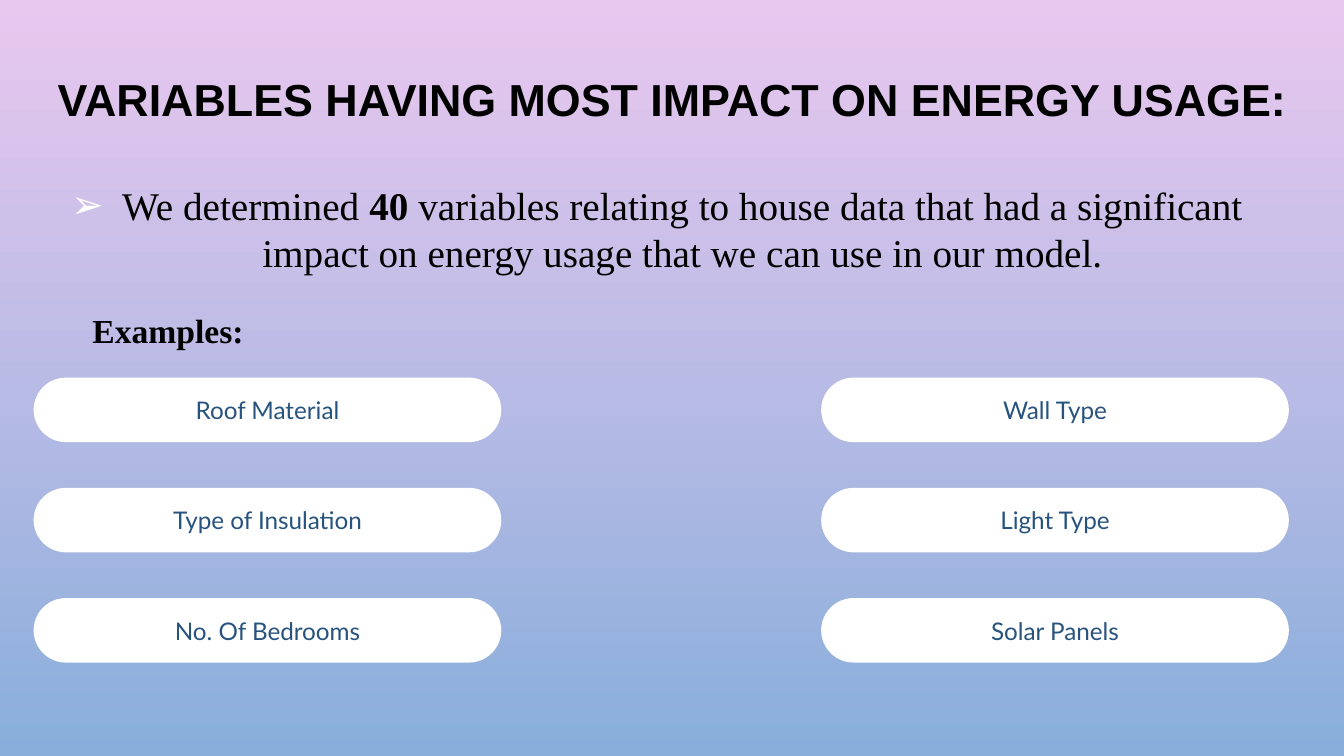
import pptx
import pptx.dml.color
import pptx.enum.shapes
import pptx.enum.text
import pptx.oxml.ns
import pptx.util
from lxml import etree

Inches = pptx.util.Inches
Pt = pptx.util.Pt
RGBColor = pptx.dml.color.RGBColor
ALIGN = pptx.enum.text.PP_ALIGN
ANCHOR = pptx.enum.text.MSO_ANCHOR

PINK = RGBColor(0xE9, 0xC8, 0xEF)
SKY = RGBColor(0x89, 0xAE, 0xDB)
BLACK = RGBColor(0, 0, 0)
WHITE = RGBColor(0xFF, 0xFF, 0xFF)
NAVY = RGBColor(0x27, 0x53, 0x7E)

# Example variables, one list per column
EXAMPLES = [
    ["Roof Material", "Type of Insulation", "No. Of Bedrooms"],
    ["Wall Type", "Light Type", "Solar Panels"],
]
PILL_LEFT, PILL_TOP = 0.25, 2.81
PILL_WIDTH, PILL_HEIGHT = 3.48, 0.48
COLUMN_STEP, ROW_STEP = 5.86, 0.82


def set_background(slide):
    fill = slide.background.fill
    fill.gradient()
    fill.gradient_angle = 270
    for stop, color in zip(fill.gradient_stops, (PINK, SKY)):
        stop.color.rgb = color


def set_font(paragraph, name, size, color, bold=None):
    font = paragraph.font
    font.name = name
    font.size = Pt(size)
    font.color.rgb = color
    font.bold = bold


def add_text(slide, left, top, width, height, runs, inset=0.1):
    """Add a wrapped text box from (text, bold) runs; return its frame."""
    box = slide.shapes.add_textbox(Inches(left), Inches(top), Inches(width), Inches(height))
    frame = box.text_frame
    frame.word_wrap = True
    frame.margin_top = frame.margin_bottom = Inches(inset)
    for text, bold in runs:
        run = frame.paragraphs[0].add_run()
        run.text = text
        if bold:
            run.font.bold = True
    return frame


def add_bullet(paragraph, character, color, indent):
    properties = paragraph._p.get_or_add_pPr()
    properties.set("marL", str(Inches(indent)))
    properties.set("indent", str(-Inches(indent)))
    qn = pptx.oxml.ns.qn
    bullet_color = etree.SubElement(properties, qn("a:buClr"))
    etree.SubElement(bullet_color, qn("a:srgbClr"), val=str(color))
    etree.SubElement(properties, qn("a:buFont"), typeface="Arial")
    etree.SubElement(properties, qn("a:buChar"), char=character)


def add_pill(slide, left, top, label):
    pill = slide.shapes.add_shape(
        pptx.enum.shapes.MSO_SHAPE.ROUNDED_RECTANGLE,
        Inches(left), Inches(top), Inches(PILL_WIDTH), Inches(PILL_HEIGHT))
    pill.adjustments[0] = 0.5
    pill.shadow.inherit = False
    pill.fill.solid()
    pill.fill.fore_color.rgb = WHITE
    pill.line.fill.background()
    frame = pill.text_frame
    frame.margin_top = frame.margin_bottom = Inches(0.1)
    frame.vertical_anchor = ANCHOR.MIDDLE
    paragraph = frame.paragraphs[0]
    paragraph.text = label
    paragraph.alignment = ALIGN.CENTER
    set_font(paragraph, "Lato", 13, NAVY)


def main():
    # Widescreen slide, 16:9
    presentation = pptx.Presentation()
    presentation.slide_width = Inches(10)
    presentation.slide_height = Inches(10 * 9 / 16)
    slide = presentation.slides.add_slide(presentation.slide_layouts[6])
    set_background(slide)

    # Title
    frame = add_text(slide, 0.15, 0.11, 9.7, 0.93,
                     [("VARIABLES HAVING MOST IMPACT ON ENERGY USAGE:", False)])
    frame.vertical_anchor = ANCHOR.BOTTOM
    title = frame.paragraphs[0]
    title.alignment = ALIGN.CENTER
    title.line_spacing = 0.9
    set_font(title, "Arial", 24, BLACK, bold=True)

    # Key finding
    frame = add_text(slide, 0.04, 1.25, 9.7, 0.96, [
        ("We determined ", False),
        ("40", True),
        (" variables relating to house data that had a significant "
         "impact on energy usage that we can use in our model.", False),
    ])
    finding = frame.paragraphs[0]
    finding.alignment = ALIGN.CENTER
    add_bullet(finding, "➢", WHITE, 0.38)
    set_font(finding, "Times New Roman", 21, BLACK)

    # Examples heading
    frame = add_text(slide, 0.59, 2.26, 2.3, 0.4, [("Examples:", False)], inset=0.05)
    set_font(frame.paragraphs[0], "Times New Roman", 18, BLACK, bold=True)

    # Grid of example variables
    for column, labels in enumerate(EXAMPLES):
        for row, label in enumerate(labels):
            add_pill(slide, PILL_LEFT + column * COLUMN_STEP,
                     PILL_TOP + row * ROW_STEP, label)

    presentation.save("out.pptx")


if __name__ == "__main__":
    main()
